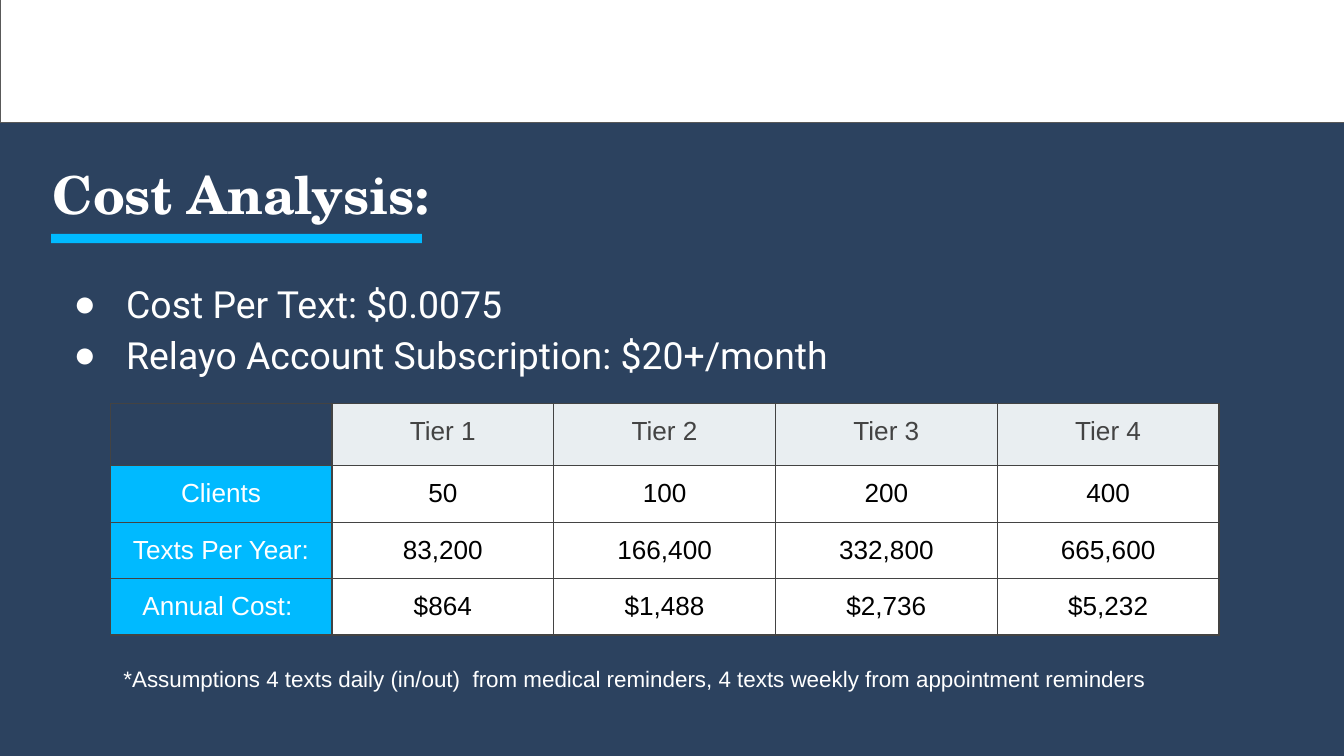
"""Build the cost analysis slide with its tier table."""
from dataclasses import dataclass

from lxml import etree
from pptx import Presentation
from pptx.dml.color import RGBColor
from pptx.enum import shapes, text
from pptx.oxml import ns
from pptx.util import Inches, Pt


@dataclass(frozen=True)
class Theme:
    navy: str = "2C425F"
    white: str = "FFFFFF"
    black: str = "000000"
    accent: str = "00BAFF"
    header: str = "E9EEF1"
    dark: str = "434343"
    outline: str = "595959"
    title_font: str = "TeX Gyre Schola"
    body_font: str = "Roboto"
    table_font: str = "Arial"
    title_size: int = 28
    body_size: int = 20
    corner_size: int = 17
    table_size: int = 14
    note_size: int = 12


theme = Theme()


def write(frame, lines, font, size, color, bold=False, align=text.PP_ALIGN.LEFT, spacing=1.0):
    frame.word_wrap = True
    frame.vertical_anchor = text.MSO_ANCHOR.TOP
    frame.margin_left = frame.margin_right = Inches(0.1)
    frame.margin_top = frame.margin_bottom = Inches(0.1)
    for index, line in enumerate(lines):
        para = frame.add_paragraph() if index else frame.paragraphs[0]
        para.alignment = align
        para.line_spacing = spacing
        span = para.add_run()
        span.text = line
        span.font.name = font
        span.font.size = Pt(size)
        span.font.bold = bold
        span.font.color.rgb = RGBColor.from_string(color)


def add_border(cell, sides, color, width):
    properties = cell._tc.get_or_add_tcPr()
    for position, side in enumerate(sides):
        line = etree.Element(ns.qn(f"a:ln{side}"), w=str(Pt(width)))
        fill = etree.SubElement(line, ns.qn("a:solidFill"))
        etree.SubElement(fill, ns.qn("a:srgbClr"), val=color)
        properties.insert(position, line)


deck = Presentation()
deck.slide_width = Inches(10)
deck.slide_height = deck.slide_width * 9 // 16
page = deck.slides.add_slide(deck.slide_layouts[5])
page.background.fill.solid()
page.background.fill.fore_color.rgb = RGBColor.from_string(theme.navy)

title = page.shapes.title
title.left, title.top = Inches(0.29), Inches(1.11)
title.width, title.height = Inches(9.32), Inches(0.63)
title.text_frame.auto_size = text.MSO_AUTO_SIZE.NONE
write(title.text_frame, ["Cost Analysis:"], theme.title_font, theme.title_size, theme.white, bold=True)

bars = [
    ((0, -0.01, 10.02, 0.92), theme.white, theme.outline),
    ((0.38, 1.74, 2.76, 0.07), theme.accent, None),
]
for place, color, outline in bars:
    bar = page.shapes.add_shape(shapes.MSO_SHAPE.RECTANGLE, *map(Inches, place))
    bar.shadow.inherit = False
    bar.fill.solid()
    bar.fill.fore_color.rgb = RGBColor.from_string(color)
    if outline:
        bar.line.color.rgb = RGBColor.from_string(outline)
        bar.line.width = Pt(0.75)
    else:
        bar.line.fill.background()

rows = [
    ["", "Tier 1", "Tier 2", "Tier 3", "Tier 4"],
    ["Clients", "50", "100", "200", "400"],
    ["Texts Per Year:", "83,200", "166,400", "332,800", "665,600"],
    ["Annual Cost: ", "$864", "$1,488", "$2,736", "$5,232"],
]
table = page.shapes.add_table(
    len(rows), len(rows[0]), Inches(0.82), Inches(3), Inches(8.25), Inches(1.69)
).table
table.horz_banding = False
for column in table.columns:
    column.width = Inches(1.65)
for row_index, values in enumerate(rows):
    table.rows[row_index].height = Inches(0.42 if row_index else 0.43)
    for column_index, value in enumerate(values):
        cell = table.cell(row_index, column_index)
        if row_index == 0:
            fill, color = theme.header, theme.dark
        elif column_index == 0:
            fill, color = theme.accent, theme.white
        else:
            fill, color = theme.white, theme.black
        cell.margin_left = cell.margin_right = Inches(0.1)
        cell.margin_top = cell.margin_bottom = Inches(0.1)
        if value:
            cell.fill.solid()
            cell.fill.fore_color.rgb = RGBColor.from_string(fill)
            write(cell.text_frame, [value], theme.table_font, theme.table_size, color,
                  align=text.PP_ALIGN.CENTER)
        else:
            cell.fill.background()
            ending = etree.SubElement(cell.text_frame.paragraphs[0]._p, ns.qn("a:endParaRPr"),
                                      sz=str(theme.corner_size * 100))
            etree.SubElement(ending, ns.qn("a:latin"), typeface=theme.table_font)
        add_border(cell, "LRTB", theme.dark, 0.75)

costs = page.shapes.add_textbox(Inches(0.34), Inches(1.94), Inches(9.32), Inches(0.87))
write(costs.text_frame, ["Cost Per Text: $0.0075 ", "Relayo Account Subscription: $20+/month "],
      theme.body_font, theme.body_size, theme.white, spacing=1.15)
for para in costs.text_frame.paragraphs:
    properties = para._p.get_or_add_pPr()
    properties.set("marL", str(Inches(0.5)))
    properties.set("indent", str(Inches(-0.39)))
    bullet_color = etree.SubElement(properties, ns.qn("a:buClr"))
    etree.SubElement(bullet_color, ns.qn("a:srgbClr"), val=theme.white)
    etree.SubElement(properties, ns.qn("a:buFont"), typeface=theme.table_font)
    etree.SubElement(properties, ns.qn("a:buChar"), char="●")

note = page.shapes.add_textbox(Inches(0.82), Inches(4.85), Inches(8.02), Inches(0.94))
write(note.text_frame,
      ["*Assumptions 4 texts daily (in/out)  from medical reminders, "
       "4 texts weekly from appointment reminders"],
      theme.table_font, theme.note_size, theme.white)

deck.save("out.pptx")
